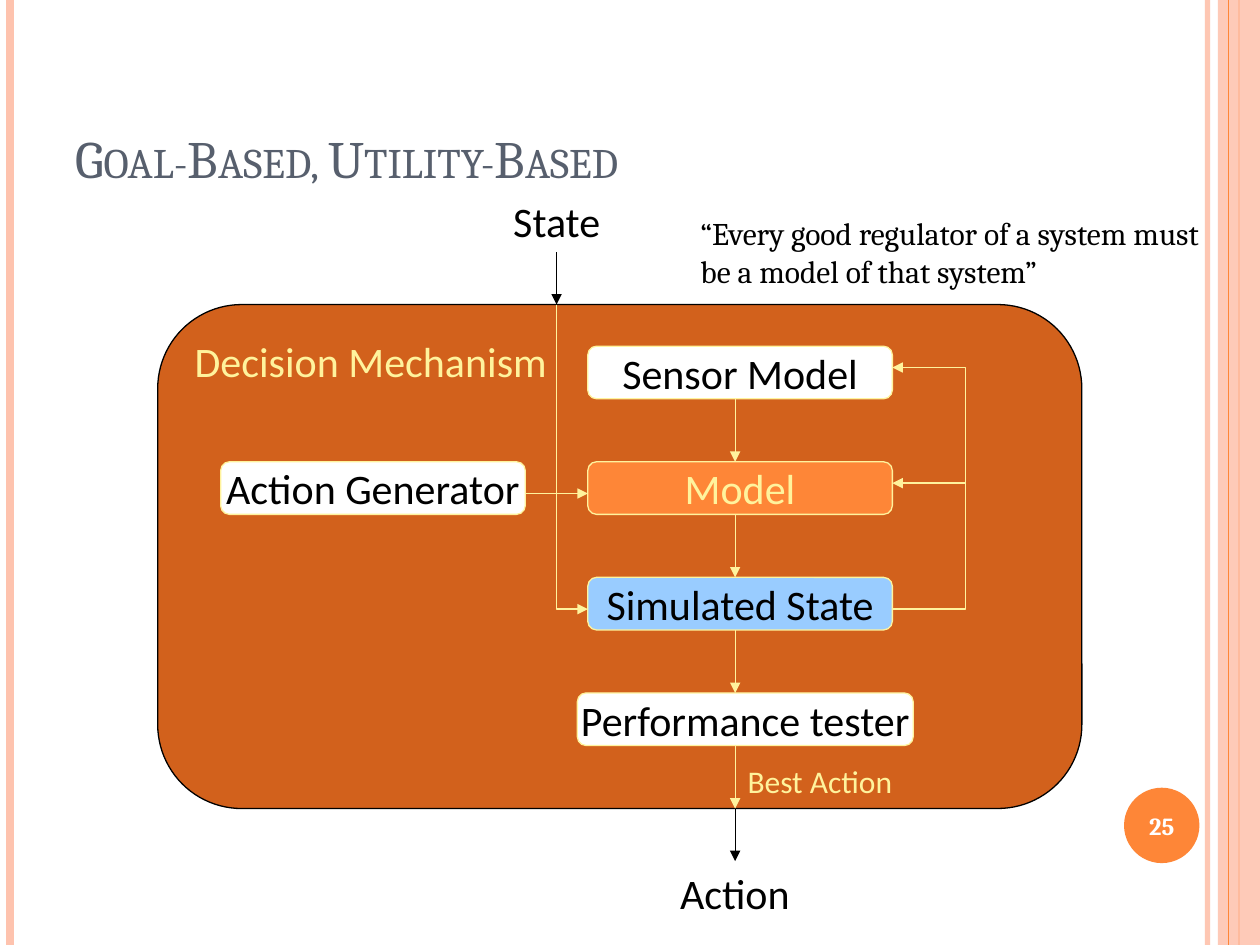
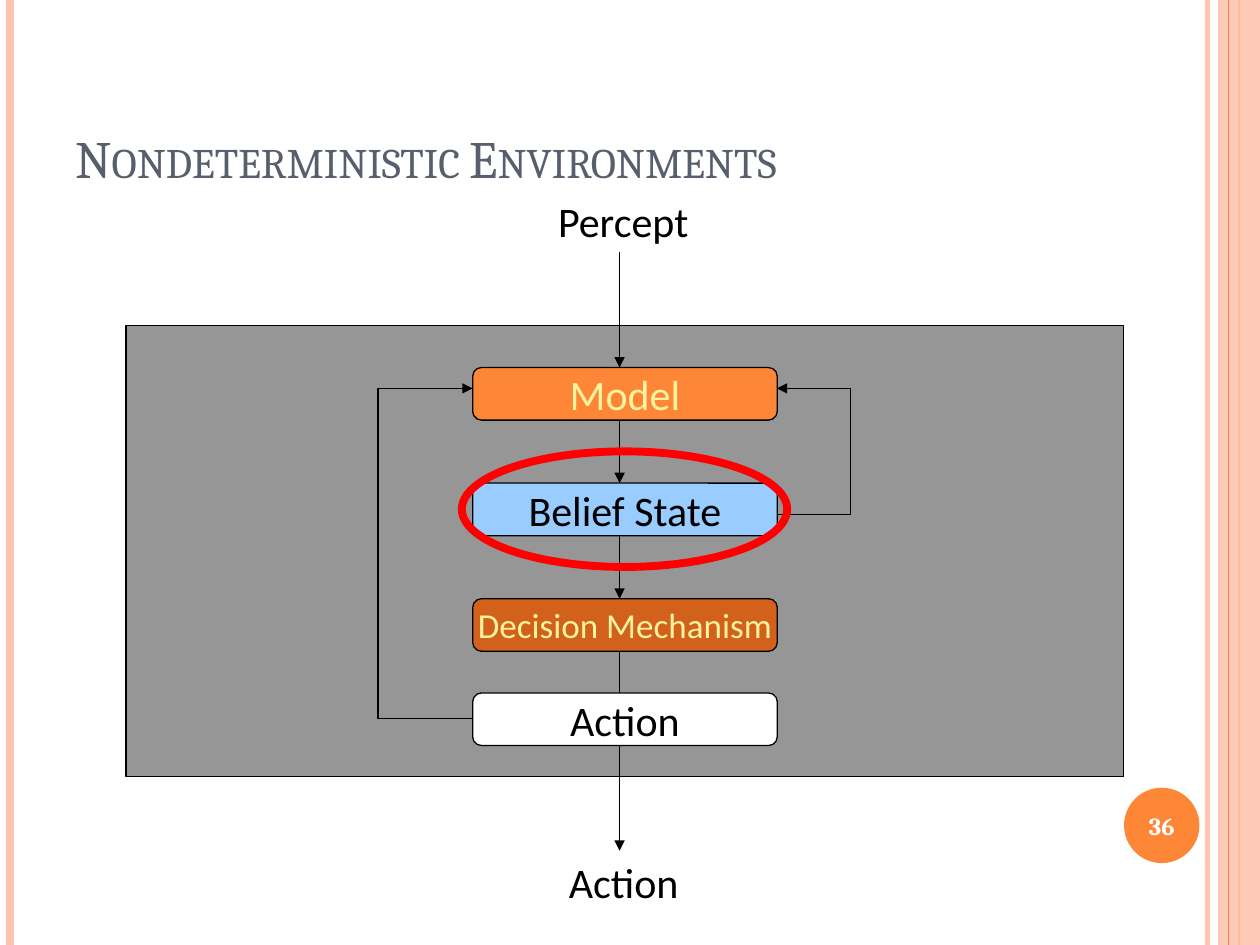
"""Build two slides of agent decision diagrams."""
from lxml import etree
from pptx import Presentation
from pptx.dml.color import RGBColor
from pptx.enum.shapes import MSO_CONNECTOR, MSO_SHAPE
from pptx.enum.text import MSO_ANCHOR, PP_ALIGN
from pptx.oxml.ns import qn
from pptx.util import Cm, Pt

LEFT, CENTER = PP_ALIGN.LEFT, PP_ALIGN.CENTER
TOP, MIDDLE, BOTTOM = MSO_ANCHOR.TOP, MSO_ANCHOR.MIDDLE, MSO_ANCHOR.BOTTOM
RECT, ROUND, OVAL = MSO_SHAPE.RECTANGLE, MSO_SHAPE.ROUNDED_RECTANGLE, MSO_SHAPE.OVAL
STRAIGHT = MSO_CONNECTOR.STRAIGHT

BLACK, WHITE, GRAY, SLATE = "000000", "FFFFFF", "969696", "575F6D"
ORANGE, RUST, PEACH = "FE8637", "D2611C", "FEC3AE"
YELLOW, BLUE, RED = "FFF39D", "99CCFF", "FF0000"

SLIDE_W, SLIDE_H = 25.4, 19.05
BOX_W, BOX_H, PITCH = 6.14, 1.06, 2.33


def paint(sp, fill=None, line=None, width=0.75, alpha=None, arrow=False):
    if hasattr(sp, "fill"):
        if fill:
            sp.fill.solid()
            sp.fill.fore_color.rgb = RGBColor.from_string(fill)
        else:
            sp.fill.background()
    if line:
        sp.line.color.rgb = RGBColor.from_string(line)
        sp.line.width = Pt(width)
    else:
        sp.line.fill.background()
    spPr = sp._element.spPr
    if arrow:
        etree.SubElement(spPr.find(qn("a:ln")), qn("a:tailEnd"), type="triangle")
    if alpha:
        color = next(spPr.iter(qn("a:srgbClr")))
        etree.SubElement(color, qn("a:alpha"), val=str(alpha * 1000))
    etree.SubElement(spPr, qn("a:effectLst"))


def write(sp, text, size=24, font="Calibri", color=BLACK, bold=False, caps=False,
          align=LEFT, anchor=TOP, wrap=True):
    tf = sp.text_frame
    tf.word_wrap = wrap
    tf.vertical_anchor = anchor
    p = tf.paragraphs[0]
    p.alignment = align
    r = p.add_run()
    r.text = text
    r.font.size = Pt(size)
    r.font.name = font
    r.font.bold = bold
    r.font.color.rgb = RGBColor.from_string(color)
    if caps:
        r._r.get_or_add_rPr().set("cap", "small")


rows = [6.98 + PITCH * i for i in range(4)]
FLOW_1, FLOW_2 = 14.82, 12.49

slides = [
    {
        "title": "Goal-Based, Utility-Based",
        "number": "25",
        "panel": (ROUND, 3.18, 6.14, 18.63, 10.16, RUST),
        "panel_text": "Decision Mechanism",
        "labels": [
            ("State", 9.53, 3.81, 3.39, 1.27, {"align": CENTER}),
            ("Action", 13.12, 17.36, 3.39, 1.27, {"align": CENTER}),
            ("Best Action", 14.82, 15.24, 3.6, 1.02, {"size": 18, "color": YELLOW}),
            ("“Every good regulator of a system must be a model of that system”",
             13.87, 4.19, 11, 1.8, {"size": 18, "font": "Cambria"}),
        ],
        "arrows": [
            (BLACK, [(11.22, 5.08), (11.22, 6.14)]),
            (BLACK, [(FLOW_1, 16.3), (FLOW_1, 17.36)]),
            (YELLOW, [(11.22, 6.14), (11.22, 12.28), (11.85, 12.28)]),
            (YELLOW, [(10.58, 9.95), (11.85, 9.95)]),
            (YELLOW, [(17.99, 12.28), (19.47, 12.28), (19.47, 9.74), (17.99, 9.74)]),
            (YELLOW, [(19.47, 9.74), (19.47, 7.41), (17.99, 7.41)]),
        ] + [(YELLOW, [(FLOW_1, y + BOX_H), (FLOW_1, y + PITCH)]) for y in rows],
        "box_line": YELLOW,
        "boxes": [
            ("Sensor Model", 11.85, rows[0], BOX_W, WHITE, BLACK, 24),
            ("Action Generator", 4.45, rows[1], BOX_W, WHITE, BLACK, 24),
            ("Model", 11.85, rows[1], BOX_W, ORANGE, YELLOW, 24),
            ("Simulated State", 11.85, rows[2], BOX_W, BLUE, BLACK, 24),
            ("Performance tester", 11.64, rows[3], 6.77, WHITE, BLACK, 24),
        ],
        "rings": [],
    },
    {
        "title": "Nondeterministic Environments",
        "number": "36",
        "panel": (RECT, 2.54, 6.56, 20.11, 9.1, GRAY),
        "panel_text": None,
        "labels": [
            ("Percept", 11, 3.81, 3.39, 1.27, {}),
            ("Action", 11.22, 17.15, 3.39, 1.27, {}),
        ],
        "arrows": [
            (BLACK, [(FLOW_2, 5.08), (FLOW_2, 7.41)]),
            (BLACK, [(FLOW_2, 8.47), (FLOW_2, 9.74)]),
            (BLACK, [(FLOW_2, 10.8), (FLOW_2, 12.07)]),
            (BLACK, [(FLOW_2, 13.13), (FLOW_2, 17.15)]),
            (BLACK, [(15.66, 10.37), (17.15, 10.37), (17.15, 7.83), (15.66, 7.83)]),
            (BLACK, [(9.53, 14.48), (7.62, 14.48), (7.62, 7.83), (9.53, 7.83)]),
        ],
        "box_line": BLACK,
        "boxes": [
            ("Model", 9.53, 7.41, BOX_W, ORANGE, YELLOW, 24),
            ("Belief State", 9.53, 9.74, BOX_W, BLUE, BLACK, 24),
            ("Decision Mechanism", 9.53, 12.07, BOX_W, RUST, YELLOW, 20),
            ("Action", 9.53, 13.97, BOX_W, WHITE, BLACK, 24),
        ],
        "rings": [(9.31, 9.1, 6.56, 2.33)],
    },
]

prs = Presentation()
prs.slide_width, prs.slide_height = Cm(SLIDE_W), Cm(SLIDE_H)

for spec_data in slides:
    s = prs.slides.add_slide(prs.slide_layouts[6])

    for x, color, width, alpha in [(24.34, PEACH, 3, 93), (0.21, PEACH, 4.5, None),
                                   (24.98, ORANGE, 1.5, None)]:
        sp = s.shapes.add_connector(STRAIGHT, Cm(x), 0, Cm(x), Cm(SLIDE_H))
        paint(sp, line=color, width=width, alpha=alpha)
    sp = s.shapes.add_shape(RECT, Cm(24.55), 0, Cm(0.85), Cm(SLIDE_H))
    paint(sp, PEACH, alpha=87)
    sp = s.shapes.add_connector(STRAIGHT, Cm(24.77), 0, Cm(24.77), Cm(SLIDE_H))
    paint(sp, line=ORANGE)
    sp = s.shapes.add_shape(OVAL, Cm(22.66), Cm(15.88), Cm(1.52), Cm(1.52))
    paint(sp, ORANGE)
    write(sp, spec_data["number"], size=14, font="Cambria", color=WHITE, bold=True,
          align=CENTER, anchor=MIDDLE, wrap=False)
    sp = s.shapes.add_textbox(Cm(1.27), Cm(0.76), Cm(20.75), Cm(3.18))
    write(sp, spec_data["title"], size=30, font="Cambria", color=SLATE, caps=True,
          anchor=BOTTOM)

    kind, x, y, w, h, fill = spec_data["panel"]
    sp = s.shapes.add_shape(kind, Cm(x), Cm(y), Cm(w), Cm(h))
    paint(sp, fill, BLACK)
    if spec_data["panel_text"]:
        write(sp, spec_data["panel_text"], color=YELLOW, wrap=False)

    for color, points in spec_data["arrows"]:
        pts = [(Cm(x), Cm(y)) for x, y in points]
        if len(pts) == 2:
            sp = s.shapes.add_connector(STRAIGHT, *pts[0], *pts[1])
        else:
            path_builder = s.shapes.build_freeform(*pts[0])
            path_builder.add_line_segments(pts[1:], close=False)
            sp = path_builder.convert_to_shape()
        paint(sp, line=color, arrow=True)

    for text, x, y, w, fill, color, size in spec_data["boxes"]:
        sp = s.shapes.add_shape(ROUND, Cm(x), Cm(y), Cm(w), Cm(BOX_H))
        paint(sp, fill, spec_data["box_line"])
        write(sp, text, size=size, color=color, align=CENTER, anchor=MIDDLE, wrap=False)

    for text, x, y, w, h, fmt in spec_data["labels"]:
        sp = s.shapes.add_textbox(Cm(x), Cm(y), Cm(w), Cm(h))
        write(sp, text, **fmt)

    for x, y, w, h in spec_data["rings"]:
        sp = s.shapes.add_shape(OVAL, Cm(x), Cm(y), Cm(w), Cm(h))
        paint(sp, line=RED, width=4.5)

prs.save("out.pptx")
